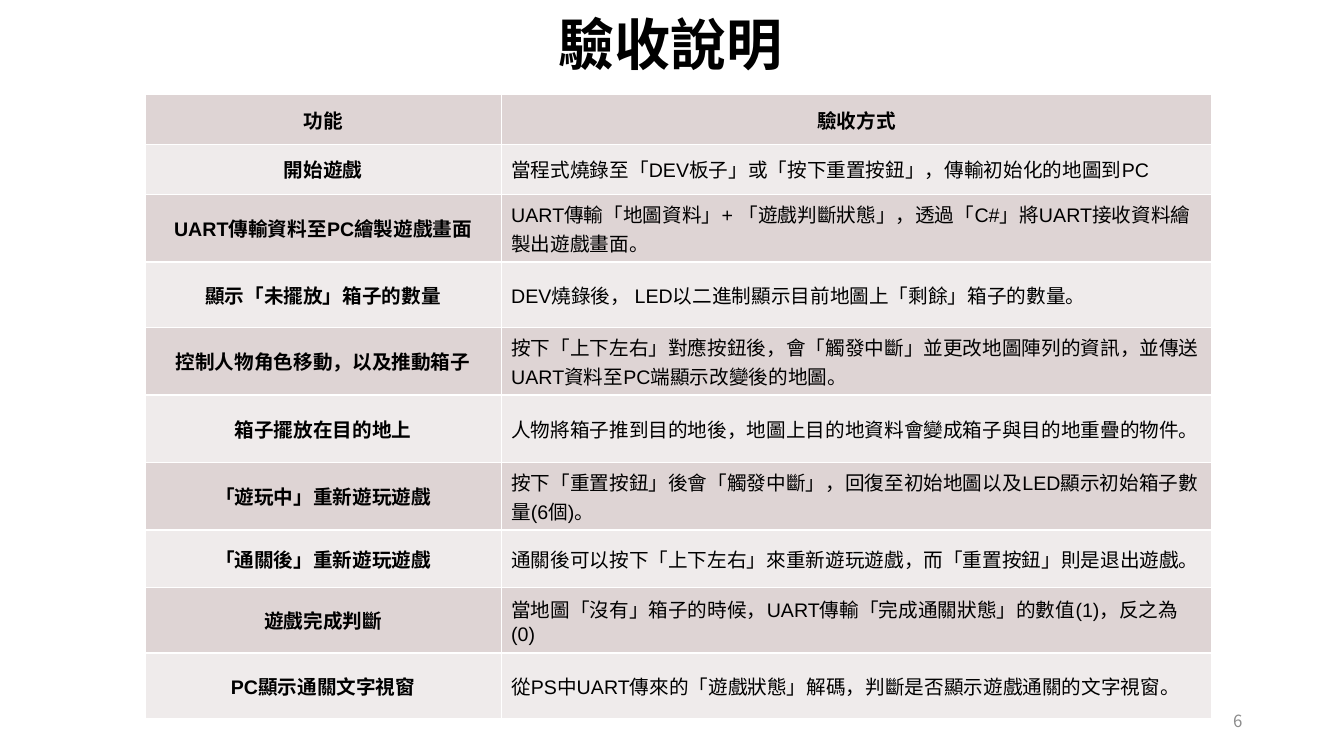
from lxml import etree
from pptx import Presentation
from pptx import util as u
from pptx.dml.color import RGBColor
from pptx.enum import text
from pptx.oxml import ns

WIDE, HIGH = 13.33, 7.5
COLS = [3.53, 7.05]
ROWS = [0.49, 0.5, 0.67, 0.65, 0.67, 0.67, 0.67, 0.57, 0.65, 0.65]
HUES = {"ink": "000000", "page": "8C8C8C", "dark": "DED4D4",
        "pale": "EFEBEB", "rule": "FFFFFF"}
HAN = "Noto Sans CJK TC"
LEFT, MID, RIGHT = text.PP_ALIGN.LEFT, text.PP_ALIGN.CENTER, text.PP_ALIGN.RIGHT

TESTS = [
    ("功能", "驗收方式"),
    ("開始遊戲", "當程式燒錄至「DEV板子」或「按下重置按鈕」，傳輸初始化的地圖到PC"),
    ("UART傳輸資料至PC繪製遊戲畫面",
     "UART傳輸「地圖資料」+ 「遊戲判斷狀態」，透過「C#」將UART接收資料繪製出遊戲畫面。"),
    ("顯示「未擺放」箱子的數量",
     "DEV燒錄後， LED以二進制顯示目前地圖上「剩餘」箱子的數量。"),
    ("控制人物角色移動，以及推動箱子",
     "按下「上下左右」對應按鈕後，會「觸發中斷」並更改地圖陣列的資訊，並傳送UART資料至PC端顯示改變後的地圖。"),
    ("箱子擺放在目的地上",
     "人物將箱子推到目的地後，地圖上目的地資料會變成箱子與目的地重疊的物件。"),
    ("「遊玩中」重新遊玩遊戲",
     "按下「重置按鈕」後會「觸發中斷」，回復至初始地圖以及LED顯示初始箱子數量(6個)。"),
    ("「通關後」重新遊玩遊戲",
     "通關後可以按下「上下左右」來重新遊玩遊戲，而「重置按鈕」則是退出遊戲。"),
    ("遊戲完成判斷",
     "當地圖「沒有」箱子的時候，UART傳輸「完成通關狀態」的數值(1)，反之為(0)"),
    ("PC顯示通關文字視窗",
     "從PS中UART傳來的「遊戲狀態」解碼，判斷是否顯示遊戲通關的文字視窗。"),
]


def write(frame, words, size, face, hue="ink", bold=False, align=LEFT):
    para = frame.paragraphs[0]
    para.alignment = align
    run = para.add_run()
    run.text = words
    font = run.font
    font.size, font.name, font.bold = u.Pt(size), face, bold
    font.color.rgb = RGBColor.from_string(HUES[hue])
    etree.SubElement(font._element, ns.qn("a:ea"), typeface=HAN)


def label(slide, left, top, wide, high, wrap=True):
    frame = slide.shapes.add_textbox(
        *[u.Inches(n) for n in (left, top, wide, high)]).text_frame
    frame.word_wrap = wrap
    return frame


def border(cell):
    props = cell._tc.get_or_add_tcPr()
    for side in ("lnL", "lnR", "lnT", "lnB"):
        line = etree.SubElement(props, ns.qn("a:" + side), w=str(u.Pt(1)))
        fill = etree.SubElement(line, ns.qn("a:solidFill"))
        etree.SubElement(fill, ns.qn("a:srgbClr"), val=HUES["rule"])


def paint(cell, words, hue, bold, align):
    cell.vertical_anchor = text.MSO_ANCHOR.MIDDLE
    border(cell)
    cell.fill.solid()
    cell.fill.fore_color.rgb = RGBColor.from_string(HUES[hue])
    write(cell.text_frame, words, 14, "Arial", bold=bold, align=align)


def grid(slide, left, top):
    table = slide.shapes.add_table(
        len(ROWS), len(COLS), u.Inches(left), u.Inches(top),
        u.Inches(sum(COLS)), u.Inches(sum(ROWS))).table
    table.first_row = table.horz_banding = False
    for col, wide in zip(table.columns, COLS):
        col.width = u.Inches(wide)
    for r, (row, high) in enumerate(zip(table.rows, ROWS)):
        row.height = u.Inches(high)
        for c, words in enumerate(TESTS[r]):
            head = r == 0 or c == 0
            paint(table.cell(r, c), words, "pale" if r % 2 else "dark",
                  head, MID if head else LEFT)


def main():
    deck = Presentation()
    deck.slide_width, deck.slide_height = u.Inches(WIDE), u.Inches(HIGH)
    slide = deck.slides.add_slide(deck.slide_layouts[6])
    title = label(slide, 5.44, 0.05, 2.44, 0.77, wrap=False)
    title.auto_size = text.MSO_AUTO_SIZE.SHAPE_TO_FIT_TEXT
    write(title, "驗收說明", 40, "Calibri", bold=True)
    page = label(slide, 9.42, 6.95, 3, 0.4)
    page.vertical_anchor = text.MSO_ANCHOR.MIDDLE
    write(page, "6", 12, HAN, "page", align=RIGHT)
    grid(slide, 1.44, 0.94)
    deck.save("out.pptx")


if __name__ == "__main__":
    main()
